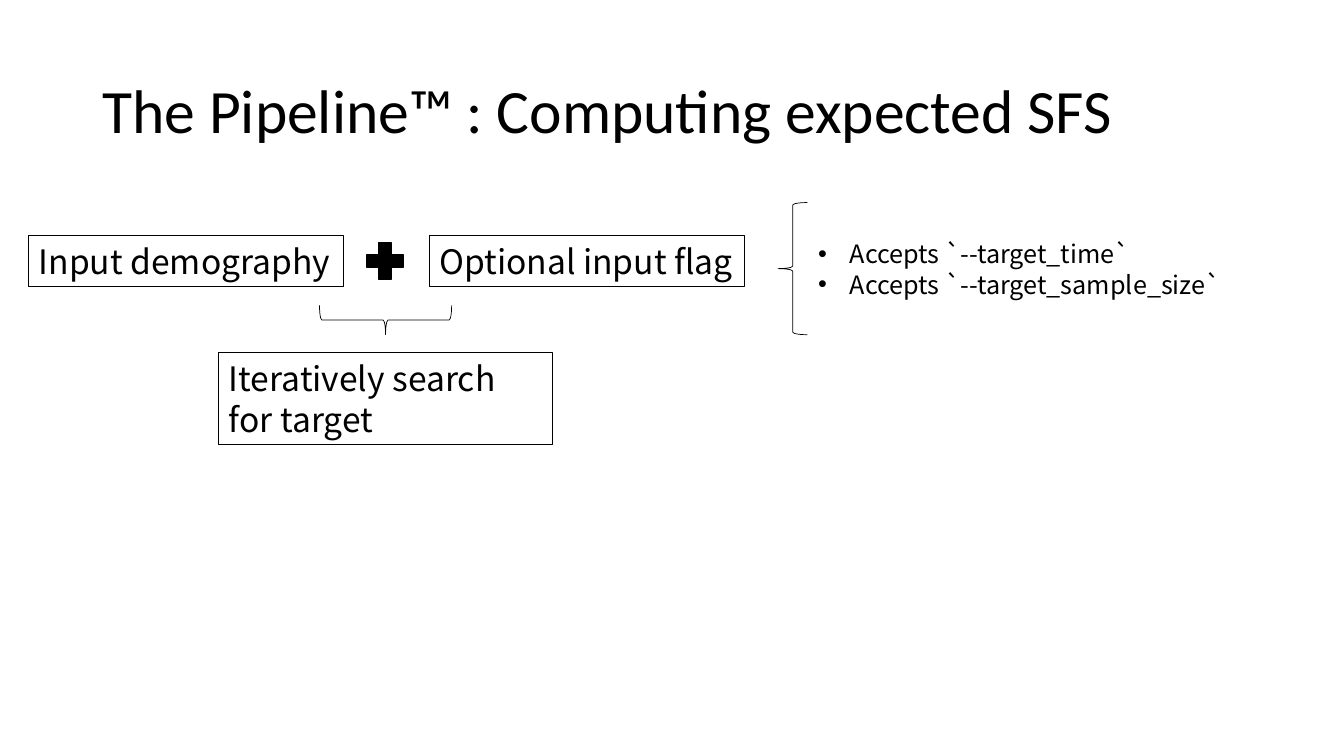
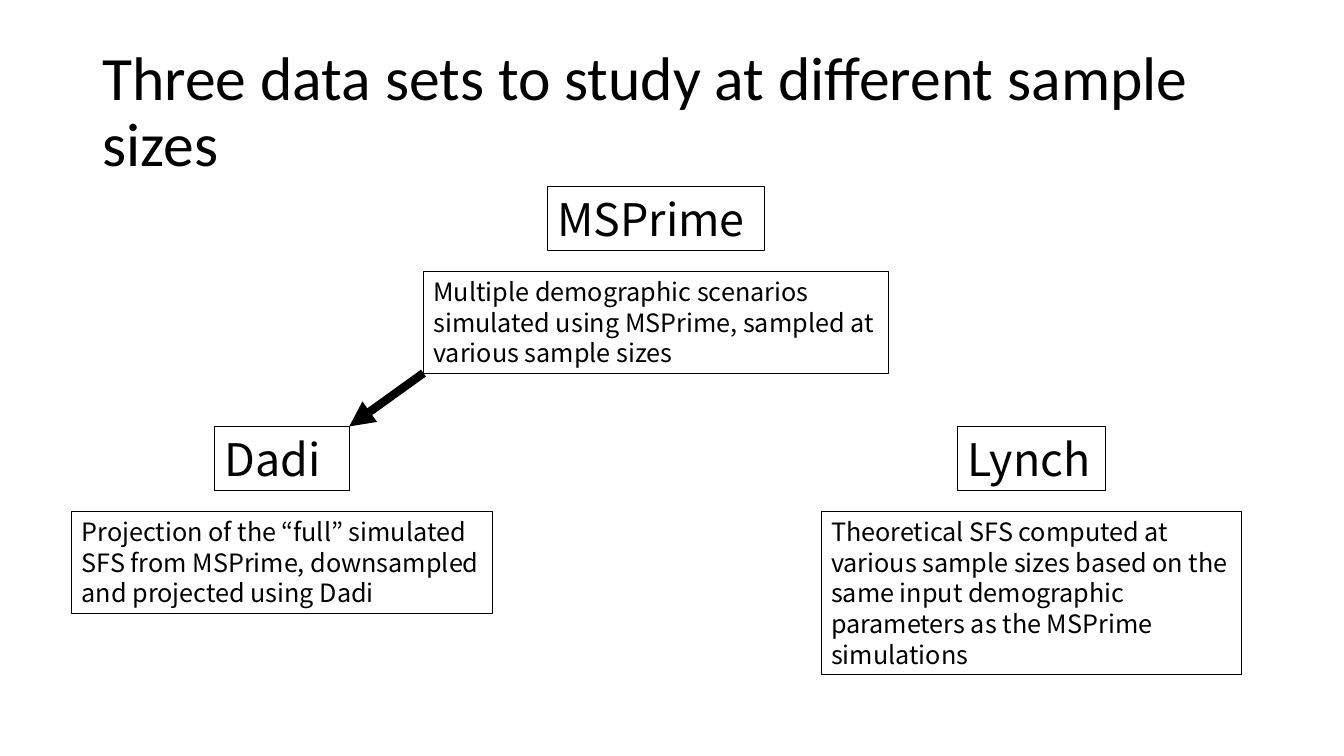
from lxml import etree
from pptx import Presentation
from pptx import util as u
from pptx.dml.color import RGBColor
from pptx.enum import shapes, text
from pptx.oxml.ns import qn

Pt = u.Pt
SHAPE = shapes.MSO_SHAPE
LINE_RATIO = 1.215  # line height relative to text size
INSET = 3.6         # space above and below the text in a box


def color(hex_string):
    return RGBColor.from_string(hex_string)


class Deck:
    """Shared style and the slide being built."""
    INK = "000000"
    TITLE_FONT = "Calibri"
    BODY_FONT = "Noto Sans CJK JP"

    def __init__(self):
        self.prs = Presentation()
        self.prs.slide_width, self.prs.slide_height = Pt(960), Pt(540)
        self.slide = None

    def new_slide(self, title):
        self.slide = self.prs.slides.add_slide(self.prs.slide_layouts[6])
        heading = self.text_box(66, 28.8, 873.4, 104.4)
        heading.text_frame.vertical_anchor = text.MSO_ANCHOR.MIDDLE
        self.set_lines(heading, [title], 44, self.TITLE_FONT, 0.9)

    def text_box(self, left, top, width, height):
        return self.slide.shapes.add_textbox(
            Pt(left), Pt(top), Pt(width), Pt(height))

    def set_lines(self, holder, lines, size, font=BODY_FONT, spacing=None):
        frame = holder.text_frame
        frame.word_wrap = True
        paragraph_format = {
            "alignment": text.PP_ALIGN.LEFT,
            "line_spacing": spacing or Pt(size * LINE_RATIO),
        }
        font_format = {"name": font, "size": Pt(size)}
        for i, line in enumerate(lines):
            paragraph = frame.paragraphs[0] if i == 0 else frame.add_paragraph()
            for key, value in paragraph_format.items():
                setattr(paragraph, key, value)
            run = paragraph.add_run()
            run.text = line
            for key, value in font_format.items():
                setattr(run.font, key, value)
            run.font.color.rgb = color(self.INK)

    def outline(self, kind, left, top, width, height, weight, fill=None):
        shape = self.slide.shapes.add_shape(
            kind, Pt(left), Pt(top), Pt(width), Pt(height))
        shape.shadow.inherit = False
        if fill:
            shape.fill.solid()
            shape.fill.fore_color.rgb = color(fill)
        else:
            shape.fill.background()
        shape.line.color.rgb = color(self.INK)
        shape.line.width = Pt(weight)
        return shape

    def box(self, label, left, top, width, size, lines=1):
        height = lines * size * LINE_RATIO + 2 * INSET
        shape = self.outline(SHAPE.RECTANGLE, left, top, width, height, 0.75)
        shape.text_frame.vertical_anchor = text.MSO_ANCHOR.TOP
        self.set_lines(shape, [label], size)
        return shape

    def brace(self, left, top, rotation=0):
        shape = self.outline(SHAPE.LEFT_BRACE, left, top, 20.9, 94.4, 0.5)
        shape.rotation = rotation

    def bullets(self, items, left, top, width, height, size):
        holder = self.text_box(left, top, width, height)
        self.set_lines(holder, items, size)
        for paragraph in holder.text_frame.paragraphs:
            props = paragraph._p.get_or_add_pPr()
            props.set("marL", str(Pt(22.5)))
            props.set("indent", str(-Pt(22.5)))
            etree.SubElement(props, qn("a:buFont")).set("typeface", "Arial")
            etree.SubElement(props, qn("a:buChar")).set("char", "•")

    def data_set(self, name, summary, center, top, name_width, width, lines):
        """A name box with its summary box centred below it."""
        name_box = self.box(name, center - name_width / 2, top, name_width, 32)
        summary_box = self.box(
            summary, center - width / 2, top + 60.5, width, 18, lines)
        return name_box, summary_box

    def arrow(self, x1, y1, x2, y2):
        line = self.slide.shapes.add_connector(
            shapes.MSO_CONNECTOR.STRAIGHT, x1, y1, x2, y2)
        line.line.color.rgb = color(self.INK)
        line.line.width = Pt(6)
        head = etree.SubElement(line.line._get_or_add_ln(), qn("a:tailEnd"))
        head.set("type", "triangle")
        etree.SubElement(line._element.spPr, qn("a:effectLst"))


def pipeline_slide(deck):
    deck.new_slide("The Pipeline™ : Computing expected SFS")

    # Inputs, joined by a plus sign
    row_top = 168.5
    deck.box("Input demography", 20.6, row_top, 225, 24)
    deck.outline(SHAPE.MATH_PLUS, 257, row_top, 36, 36, 1, deck.INK)
    deck.box("Optional input flag", 306.7, row_top, 225, 24)

    # Accepted flags
    deck.brace(555.8, 144.7)
    deck.bullets(["Accepts `--target_time`", "Accepts `--target_sample_size`"],
                 577.4, 166.3, 332, 51, 18)

    # Search step
    deck.brace(265, 181.4, 270)
    deck.box("Iteratively search for target", 156.4, 252, 238.3, 24, lines=2)


def data_sets_slide(deck):
    deck.new_slide("Three data sets to study at different sample sizes")

    # Simulated source above the two derived sets
    upper, lower = 133.2, 304.6
    _, simulation = deck.data_set(
        "MSPrime",
        "Multiple demographic scenarios simulated using MSPrime, "
        "sampled at various sample sizes",
        468.5, upper, 155, 332, 3)
    projection, _ = deck.data_set(
        "Dadi",
        "Projection of the “full” simulated SFS from MSPrime, "
        "downsampled and projected using Dadi",
        201.5, lower, 96, 300.5, 3)
    deck.data_set(
        "Lynch",
        "Theoretical SFS computed at various sample sizes based on the same "
        "input demographic parameters as the MSPrime simulations",
        736.8, lower, 106, 300.5, 5)

    # Simulation feeds the projection
    deck.arrow(simulation.left, simulation.top + simulation.height,
               projection.left + projection.width, projection.top)


def main():
    deck = Deck()
    pipeline_slide(deck)
    data_sets_slide(deck)
    deck.prs.save("out.pptx")


if __name__ == "__main__":
    main()
